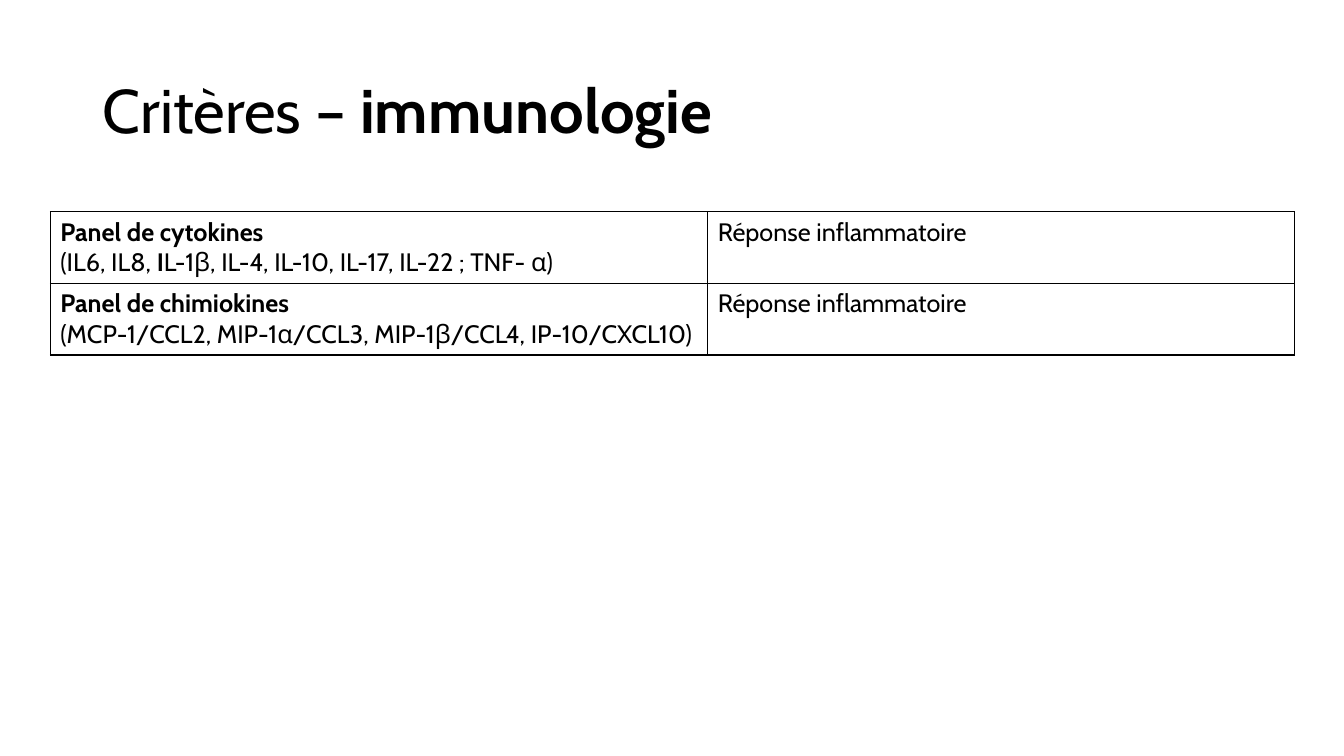
from dataclasses import dataclass

from lxml import etree
from pptx import Presentation
from pptx.dml.color import RGBColor
from pptx.enum import text as txt
from pptx.oxml import ns
from pptx.util import Inches, Pt


@dataclass(frozen=True)
class Theme:
    font: str = "Cabin"
    ink: str = "000000"
    title_size: int = 44
    table_size: int = 18
    border_width: int = 1


@dataclass(frozen=True)
class Span:
    words: str
    bold: bool = False


@dataclass(frozen=True)
class Criterion:
    panel: str
    markers: tuple[Span, ...]
    response: str


THEME = Theme()
TITLE = (Span("Critères – "), Span("immunologie", True))
CRITERIA = (
    Criterion(
        "Panel de cytokines",
        (Span("(IL6, IL8, "), Span("I", True),
         Span("L-1β, IL-4, IL-10, IL-17, IL-22 ; TNF- α)")),
        "Réponse inflammatoire",
    ),
    Criterion(
        "Panel de chimiokines",
        (Span("(MCP-1/CCL2, MIP-1α/CCL3, MIP-1β/CCL4, IP-10/CXCL10)"),),
        "Réponse inflammatoire",
    ),
)
COLUMN_WIDTHS = (6.52, 5.82)
ROW_HEIGHT = 0.7


def style_paragraph(paragraph, size: int) -> None:
    paragraph.font.name = THEME.font
    paragraph.font.size = Pt(size)
    paragraph.font.color.rgb = RGBColor.from_string(THEME.ink)


def add_spans(paragraph, spans: tuple[Span, ...]) -> None:
    for span in spans:
        run = paragraph.add_run()
        run.text = span.words
        run.font.bold = span.bold


def add_borders(cell) -> None:
    properties = cell._tc.get_or_add_tcPr()
    for position, side in enumerate(("lnL", "lnR", "lnT", "lnB")):
        line = etree.Element(ns.qn(f"a:{side}"), w=str(Pt(THEME.border_width)))
        fill = etree.SubElement(line, ns.qn("a:solidFill"))
        etree.SubElement(fill, ns.qn("a:srgbClr"), val=THEME.ink)
        properties.insert(position, line)


def fill_cell(cell, heading: tuple[Span, ...], detail: tuple[Span, ...] = ()) -> None:
    paragraph = cell.text_frame.paragraphs[0]
    style_paragraph(paragraph, THEME.table_size)
    add_spans(paragraph, heading)
    if detail:
        paragraph.add_line_break()
        add_spans(paragraph, detail)
    cell.fill.background()
    add_borders(cell)


def add_title(slide) -> None:
    title = slide.shapes.title
    title.left, title.top = Inches(0.92), Inches(0.4)
    title.width, title.height = Inches(11.5), Inches(1.45)
    title.text_frame.vertical_anchor = txt.MSO_ANCHOR.MIDDLE
    heading = title.text_frame.paragraphs[0]
    heading.alignment = txt.PP_ALIGN.LEFT
    heading.line_spacing = 0.9
    style_paragraph(heading, THEME.title_size)
    add_spans(heading, TITLE)


def add_criteria(slide) -> None:
    criteria = slide.shapes.add_table(
        len(CRITERIA), len(COLUMN_WIDTHS), Inches(0.5), Inches(2.1),
        Inches(sum(COLUMN_WIDTHS)), Inches(ROW_HEIGHT * len(CRITERIA)),
    ).table
    criteria.first_row = criteria.horz_banding = False
    for column, width in zip(criteria.columns, COLUMN_WIDTHS):
        column.width = Inches(width)
    for row, criterion in zip(criteria.rows, CRITERIA):
        panel, response = row.cells
        fill_cell(panel, (Span(criterion.panel, True),), criterion.markers)
        fill_cell(response, (Span(criterion.response),))


def main() -> None:
    deck = Presentation()
    deck.slide_width, deck.slide_height = Inches(13.33), Inches(7.5)
    slide = deck.slides.add_slide(deck.slide_layouts.get_by_name("Title Only"))
    # Title
    add_title(slide)
    # Table of criteria
    add_criteria(slide)
    deck.save("out.pptx")


if __name__ == "__main__":
    main()
